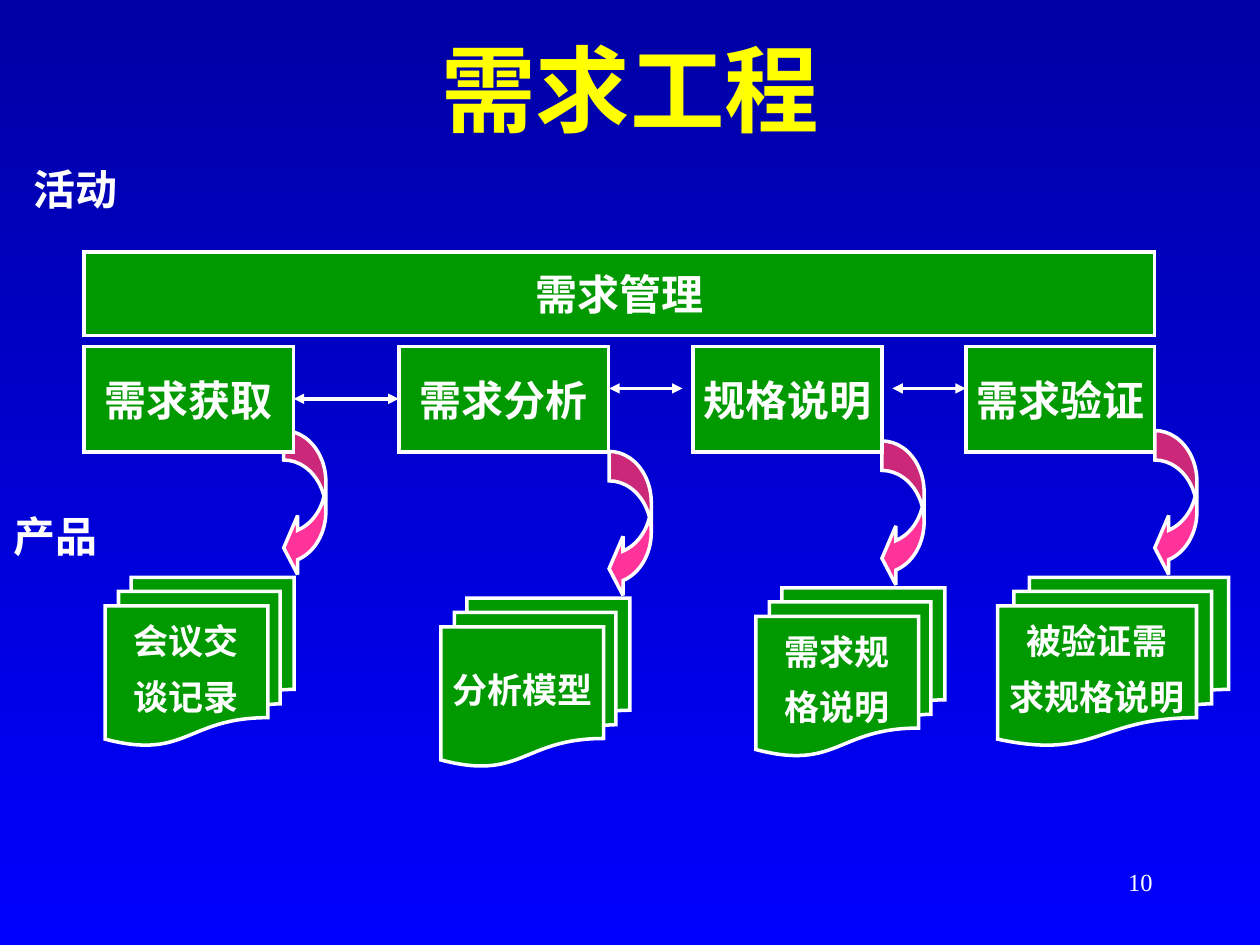
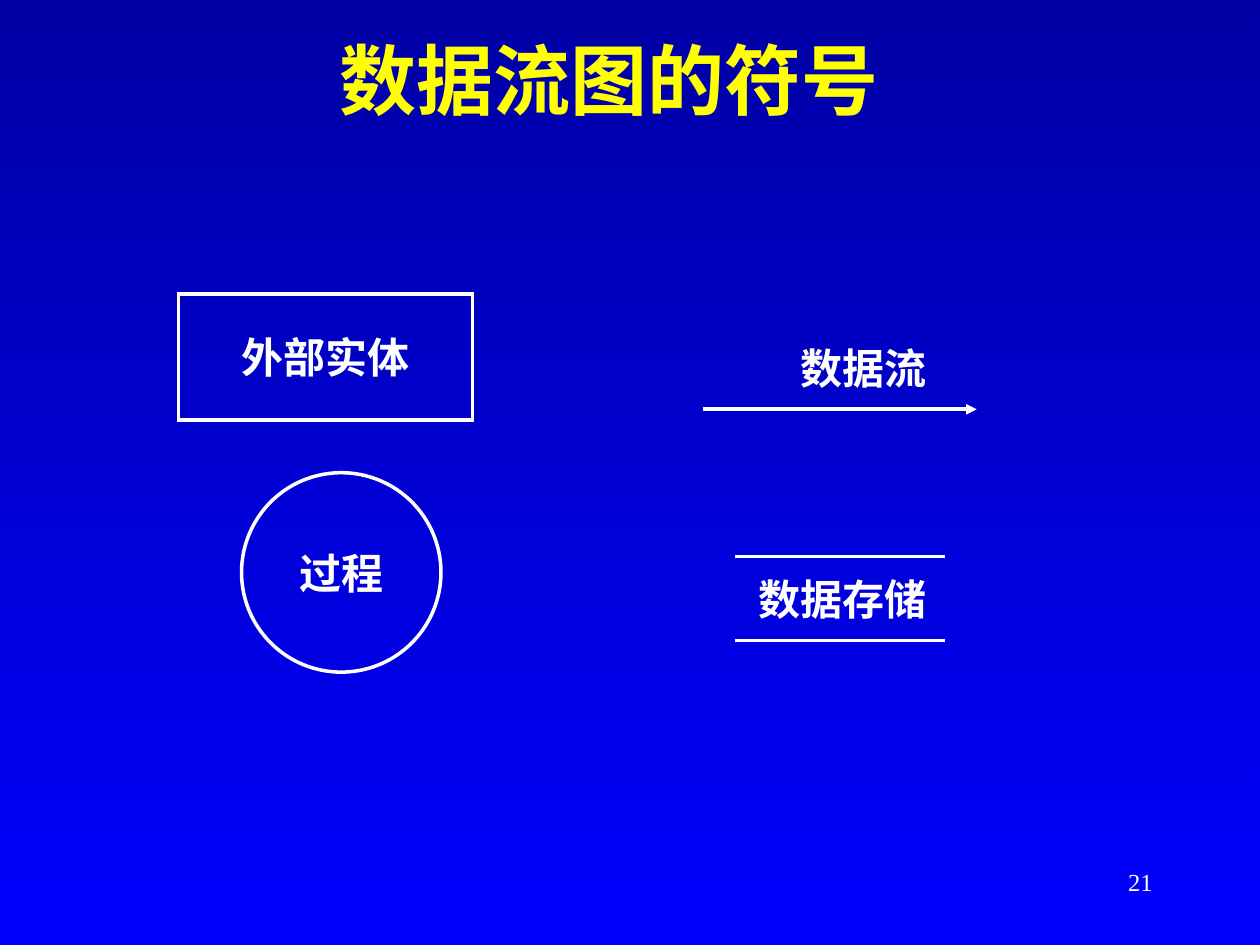
from dataclasses import dataclass

import pptx
import pptx.dml.color
import pptx.enum.shapes
import pptx.enum.text
import pptx.oxml.ns
import pptx.slide
import pptx.util
from lxml import etree

Cm = pptx.util.Cm
Pt = pptx.util.Pt
SHAPE = pptx.enum.shapes.MSO_SHAPE
ALIGN = pptx.enum.text.PP_ALIGN
ANCHOR = pptx.enum.text.MSO_ANCHOR
AUTO_SIZE = pptx.enum.text.MSO_AUTO_SIZE
qn = pptx.oxml.ns.qn

FONT = "Times New Roman"
WHITE = "FFFFFF"
YELLOW = "FFFF00"
GREEN = "009900"
PINK = "FF3399"
SKY_TOP = "0000A4"
SKY_BOTTOM = "0000FF"
LINE_WIDTH = 2

STAGE_TOP, STAGE_HEIGHT = 6.99, 2.12
CURVE_WIDTH, CURVE_HEIGHT = 0.85, 2.96
DOCUMENT_HEIGHT = 3.39


@dataclass(frozen=True)
class Box:
    left: float
    top: float
    width: float
    height: float

    def lengths(self) -> tuple:
        return Cm(self.left), Cm(self.top), Cm(self.width), Cm(self.height)


@dataclass(frozen=True)
class TextStyle:
    size: float = 24
    color: str = WHITE
    bold: bool = True
    align: ALIGN = ALIGN.CENTER
    anchor: ANCHOR = ANCHOR.MIDDLE
    wrap: bool = False
    grow: bool = False
    before: float = 15
    spacing: float = 1.0


@dataclass(frozen=True)
class Stage:
    activity: str
    left: float
    width: float
    curve_left: float
    curve_top: float
    product: str
    product_left: float
    product_width: float = 3.81


@dataclass(frozen=True)
class Line:
    x1: float
    x2: float
    y: float
    head: bool = False
    tail: bool = False


LABEL = TextStyle(anchor=ANCHOR.TOP, grow=True)
BLOCK = TextStyle()
DOCUMENT = TextStyle(size=20, before=12.5, spacing=0.8)
NUMBER = TextStyle(size=14, bold=False, align=ALIGN.RIGHT, anchor=ANCHOR.TOP, wrap=True, before=0)

STAGES = [
    Stage("需求获取", 1.69, 4.23, 5.72, 8.68, "会议交\n谈记录", 2.12),
    Stage("需求分析", 8.04, 4.23, 12.28, 9.1, "分析模型", 8.89),
    Stage("规格说明", 13.97, 3.81, 17.78, 8.89, "需求规\n格说明", 15.24),
    Stage("需求验证", 19.47, 3.81, 23.28, 8.68, "被验证需\n求规格说明", 20.11, 4.66),
]
STAGE_LINKS = [
    Line(5.92, 8.04, 8.04, True, True),
    Line(12.28, 13.76, 7.83, True, True),
    Line(17.99, 19.47, 7.83, True, True),
]
SYMBOL_LINES = [
    Line(14.18, 19.69, 8.25, tail=True),
    Line(14.82, 19.05, 11.22),
    Line(14.82, 19.05, 12.91),
]


def rgb(color: str) -> pptx.dml.color.RGBColor:
    return pptx.dml.color.RGBColor.from_string(color)


def write(sp, text: str, style: TextStyle) -> None:
    tf = sp.text_frame
    tf.word_wrap = style.wrap
    tf.auto_size = AUTO_SIZE.SHAPE_TO_FIT_TEXT if style.grow else AUTO_SIZE.NONE
    tf.vertical_anchor = style.anchor
    tf.text = text
    for p in tf.paragraphs:
        p.alignment = style.align
        p.space_before = Pt(style.before)
        p.line_spacing = style.spacing
        p.font.name = FONT
        p.font.size = Pt(style.size)
        p.font.bold = style.bold
        p.font.color.rgb = rgb(style.color)


def add_text(s: pptx.slide.Slide, box: Box, text: str, style: TextStyle = LABEL) -> None:
    write(s.shapes.add_textbox(*box.lengths()), text, style)


def add_block(s: pptx.slide.Slide, kind: SHAPE, box: Box, fill: str | None,
              text: str = "", style: TextStyle = BLOCK):
    sp = s.shapes.add_shape(kind, *box.lengths())
    sp.shadow.inherit = False
    if fill:
        sp.fill.solid()
        sp.fill.fore_color.rgb = rgb(fill)
    else:
        sp.fill.background()
    sp.line.color.rgb = rgb(WHITE)
    sp.line.width = Pt(LINE_WIDTH)
    etree.SubElement(sp.line._get_or_add_ln(), qn("a:miter"), lim="800000")
    if text:
        write(sp, text, style)
    return sp


def add_curve(s: pptx.slide.Slide, stage: Stage) -> None:
    box = Box(stage.curve_left, stage.curve_top, CURVE_WIDTH, CURVE_HEIGHT)
    sp = add_block(s, SHAPE.CURVED_LEFT_ARROW, box, PINK)
    for i, value in enumerate((0.7, 1.4, 0.33)):
        sp.adjustments[i] = value


def add_line(s: pptx.slide.Slide, line: Line) -> None:
    cn = s.shapes.add_connector(pptx.enum.shapes.MSO_CONNECTOR.STRAIGHT,
                                Cm(line.x1), Cm(line.y), Cm(line.x2), Cm(line.y))
    cn.line.color.rgb = rgb(WHITE)
    cn.line.width = Pt(LINE_WIDTH)
    ln = cn.line._get_or_add_ln()
    for tag, shown in (("a:headEnd", line.head), ("a:tailEnd", line.tail)):
        if shown:
            etree.SubElement(ln, qn(tag), type="triangle")
    etree.SubElement(cn._element.spPr, qn("a:effectLst"))


def add_slide(prs, title: str, title_box: Box, title_size: float, number: int) -> pptx.slide.Slide:
    s = prs.slides.add_slide(prs.slide_layouts[6])
    fill = s.background.fill
    fill.gradient()
    fill.gradient_angle = 270
    for stop, color in zip(fill.gradient_stops, (SKY_TOP, SKY_BOTTOM)):
        stop.color.rgb = rgb(color)
    add_text(s, title_box, title, TextStyle(size=title_size, color=YELLOW, wrap=True, before=0))
    add_text(s, Box(18.2, 17.36, 5.29, 1.27), str(number), NUMBER)
    return s


def build_requirements(prs) -> None:
    s = add_slide(prs, "需求工程", Box(1.91, 0.71, 21.59, 2.12), 54, 10)
    for stage in STAGES:
        add_curve(s, stage)
    for stage in STAGES:
        add_block(s, SHAPE.RECTANGLE, Box(stage.left, STAGE_TOP, stage.width, STAGE_HEIGHT),
                  GREEN, stage.activity)
        add_block(s, SHAPE.FLOWCHART_MULTIDOCUMENT,
                  Box(stage.product_left, stage.curve_top + CURVE_HEIGHT,
                      stage.product_width, DOCUMENT_HEIGHT),
                  GREEN, stage.product, DOCUMENT)
    for link in STAGE_LINKS:
        add_line(s, link)
    add_block(s, SHAPE.RECTANGLE, Box(1.69, 5.08, 21.59, 1.69), GREEN, "需求管理")
    add_text(s, Box(0.4, 3.18, 2.24, 1.27), "活动")
    add_text(s, Box(0, 10.16, 2.24, 1.27), "产品")


def build_symbols(prs) -> None:
    s = add_slide(prs, "数据流图的符号", Box(1.48, 0, 21.59, 3.18), 44, 21)
    add_block(s, SHAPE.RECTANGLE, Box(3.6, 5.93, 5.93, 2.54), None, "外部实体")
    add_block(s, SHAPE.OVAL, Box(4.87, 9.53, 4.02, 4.02), None, "过程")
    for line in SYMBOL_LINES:
        add_line(s, line)
    add_text(s, Box(15.88, 6.77, 3.05, 1.27), "数据流")
    add_text(s, Box(15.03, 11.43, 3.89, 1.27), "数据存储")


def main() -> None:
    prs = pptx.Presentation()
    prs.slide_width, prs.slide_height = Cm(25.4), Cm(19.05)
    build_requirements(prs)
    build_symbols(prs)
    prs.save("out.pptx")


if __name__ == "__main__":
    main()
